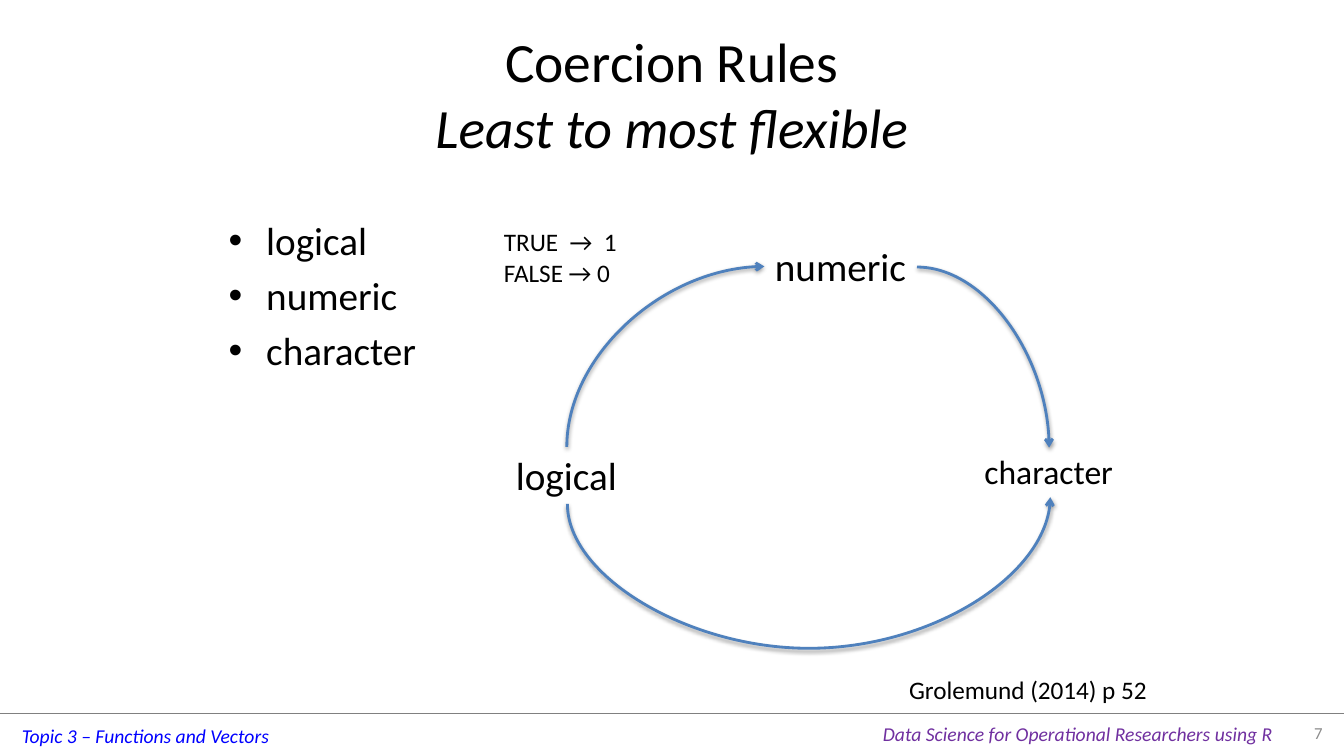
import pptx
import pptx.util
import pptx.dml.color
import pptx.enum.shapes
import pptx.enum.text
import pptx.oxml
import pptx.oxml.ns

Cm = pptx.util.Cm
Pt = pptx.util.Pt
RGB = pptx.dml.color.RGBColor.from_string
Kind = pptx.enum.shapes.MSO_CONNECTOR
Align = pptx.enum.text.PP_ALIGN
Anchor = pptx.enum.text.MSO_ANCHOR
qn = pptx.oxml.ns.qn
ns = pptx.oxml.ns.nsdecls("a")
hues = {"ink": "000000", "rule": "808080", "topic": "0000FF",
        "course": "7030A0", "page": "8C8C8C", "arc": "4F81BD"}


def style(frame, size, hue="ink", slant=False):
    for para in frame.paragraphs:
        for run in para.runs:
            run.font.name = "Calibri"
            run.font.size = Pt(size)
            run.font.italic = slant
            run.font.color.rgb = RGB(hues[hue])


def label(text, left, top, width, height, size, hue="ink", slant=False):
    box = slide.shapes.add_textbox(Cm(left), Cm(top), Cm(width), Cm(height))
    frame = box.text_frame
    frame.word_wrap = False
    frame.text = text
    style(frame, size, hue, slant)
    return frame


deck = pptx.Presentation()
deck.slide_width = Cm(33.87)
deck.slide_height = Cm(19.05)
slide = deck.slides.add_slide(deck.slide_layouts[5])

rule = slide.shapes.add_connector(Kind.STRAIGHT, 0, Cm(17.96), Cm(33.87), Cm(17.96))
rule.line.color.rgb = RGB(hues["rule"])
rule.line.width = Pt(0.25)
rule._element.spPr.append(pptx.oxml.parse_xml(f"<a:effectLst {ns}/>"))

label("Topic 3 – Functions and Vectors", 0.3, 18.11, 6.81, 0.86, 14, "topic", True)
label("Data Science for Operational Researchers using R",
      22, 18.06, 10.44, 0.86, 14, "course", True)

title = slide.shapes.title
title.left, title.top = Cm(1.69), Cm(0.76)
title.width, title.height = Cm(30.48), Cm(3.18)
head = title.text_frame
head.text = "Coercion Rules\vLeast to most flexible"
head.vertical_anchor = Anchor.MIDDLE
head.paragraphs[0].alignment = Align.CENTER
style(head, 39.6)
head.paragraphs[0].runs[1].font.italic = True

types = label("logical\nnumeric\ncharacter", 5.51, 5.33, 11.23, 12.57, 28)
types.word_wrap = True
for para in types.paragraphs:
    props = para._p.get_or_add_pPr()
    props.set("marL", str(Cm(0.95)))
    props.set("indent", str(-Cm(0.95)))
    for part in ('<a:spcBef {}><a:spcPct val="20000"/></a:spcBef>',
                 '<a:buFont {} typeface="Arial"/>',
                 '<a:buChar {} char="•"/>'):
        props.append(pptx.oxml.parse_xml(part.format(ns)))

page = label("7", 32.18, 17.96, 1.4, 0.99, 12, "page")
page.word_wrap = True
page.vertical_anchor = Anchor.MIDDLE
page.paragraphs[0].alignment = Align.RIGHT

label("logical", 12.75, 11.25, 3.1, 1.45, 28)
label("numeric", 19.28, 5.99, 3.86, 1.45, 28)
label("character", 24.56, 11.25, 3.81, 1.27, 24)

arcs = [
    ("curvedConnector2", 19.05, 11.48, 14.5, 6.5, 90, None),
    ("curvedConnector2", 23.11, 6.73, 26.44, 11.28, 0, None),
    ("curvedConnector3", 20.47, 18.7, 20.3, 6.53, 90, -2140000),
]
for form, x1, y1, x2, y2, turn, bend in arcs:
    arc = slide.shapes.add_connector(Kind.CURVE, Cm(x1), Cm(y1), Cm(x2), Cm(y2))
    arc.line.color.rgb = RGB(hues["arc"])
    arc.line.width = Pt(2)
    props = arc._element.spPr
    props.find(qn("a:xfrm")).set("rot", str(turn * 60000))
    geom = props.find(qn("a:prstGeom"))
    geom.set("prst", form)
    if bend:
        geom.find(qn("a:avLst")).append(pptx.oxml.parse_xml(
            f'<a:gd {ns} name="adj1" fmla="val {bend}"/>'))
    props.find(qn("a:ln")).append(pptx.oxml.parse_xml(
        f'<a:tailEnd {ns} type="arrow"/>'))
    props.append(pptx.oxml.parse_xml(
        f'<a:effectLst {ns}><a:outerShdw blurRad="40000" dist="20000" dir="5400000" '
        f'rotWithShape="0"><a:srgbClr val="{hues["ink"]}"><a:alpha val="38000"/>'
        '</a:srgbClr></a:outerShdw></a:effectLst>'))

label("TRUE  →  1\nFALSE → 0", 12.45, 5.59, 3.43, 1.8, 18)
label("Grolemund (2014) p 52", 22.66, 16.87, 6.58, 1.02, 18)

deck.save("out.pptx")
